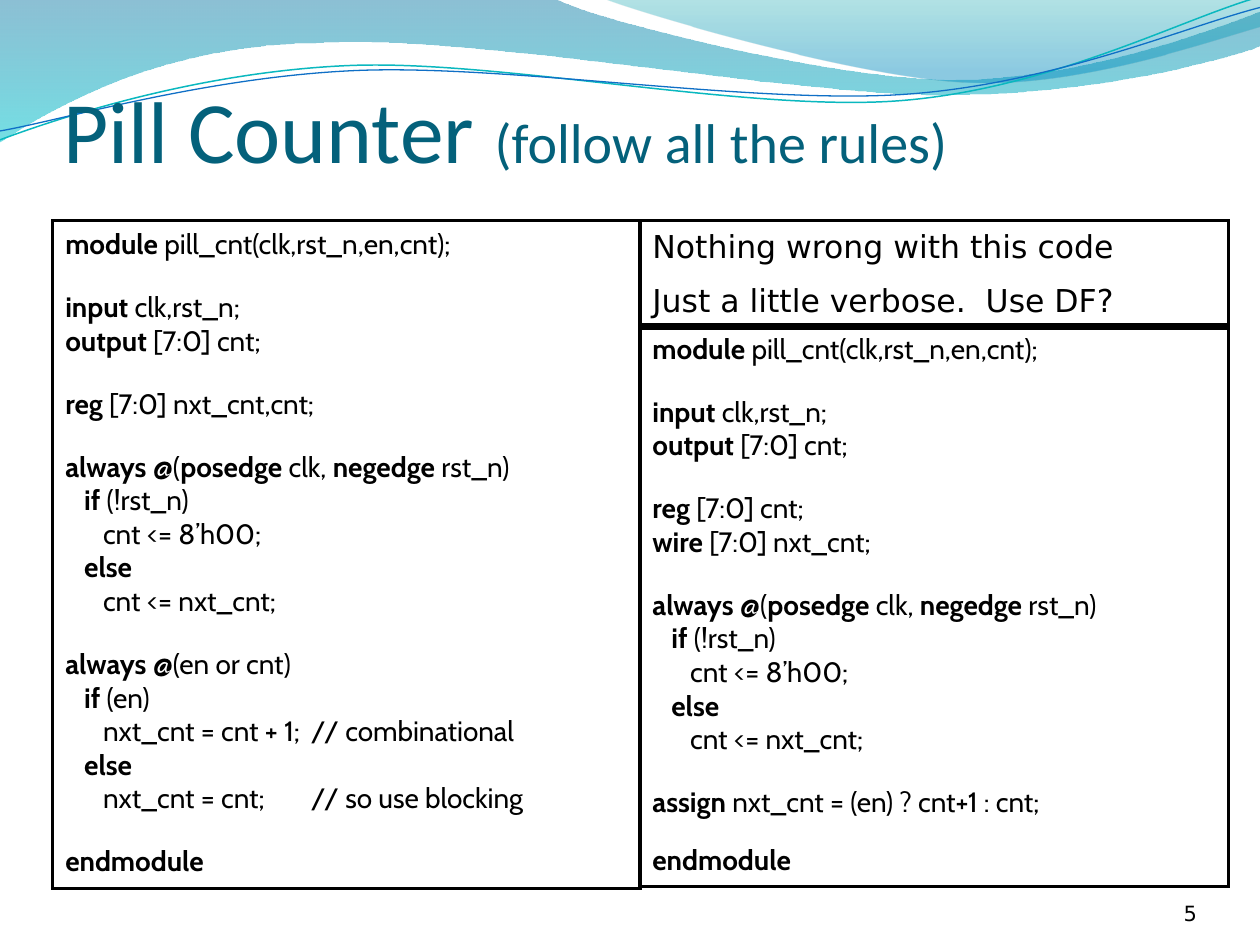
from dataclasses import dataclass
from math import cos, radians, sin

from lxml.etree import SubElement
from pptx import Presentation
from pptx.dml.color import RGBColor
from pptx.enum.shapes import MSO_SHAPE
from pptx.enum.text import MSO_ANCHOR, MSO_AUTO_SIZE, PP_ALIGN
from pptx.oxml.ns import qn
from pptx.util import Inches, Pt


@dataclass(frozen=True)
class Theme:
    """Colours, fonts and type sizes of the deck."""
    title_color: str = "04617B"
    ink: str = "000000"
    teal: str = "0AB8BF"
    blue: str = "0F6FC6"
    title_font: str = "Calibri"
    code_font: str = "Cabin"
    plain_font: str = "DejaVu Sans"
    title_size: float = 50
    subtitle_size: float = 32
    note_size: float = 18
    code_size: float = 16
    number_size: float = 12
    border: float = 1.75
    tilt: float = -2.7
    code_tabs: tuple = (0.15, 0.3, 1.95)


def turn(point, center, degrees):
    """Return the point turned clockwise about the center."""
    dx, dy = point[0] - center[0], point[1] - center[1]
    c, s = cos(radians(degrees)), sin(radians(degrees))
    return center[0] + dx * c - dy * s, center[1] + dx * s + dy * c


class SlideWriter:
    """Holds the theme and the current page, and adds elements to it."""

    def __init__(self, page, theme):
        """Keep the page and its theme."""
        self.page, self.theme = page, theme

    def span(self, para, text, font, size, color, bold=False):
        """Add one formatted run."""
        span = para.add_run()
        span.text = text
        span.font.name, span.font.size, span.font.bold = font, Pt(size), bold
        span.font.color.rgb = RGBColor.from_string(color)

    def outline(self, start, segments, closed):
        """Add a freeform; one point makes a line, three make a cubic curve."""
        points = [(Inches(x), Inches(y)) for segment in segments for x, y in segment]
        builder = self.page.shapes.build_freeform(*map(Inches, start), scale=1.0)
        builder.add_line_segments(points, close=closed)
        shape = builder.convert_to_shape()
        shape.shadow.inherit = False
        lines = iter(list(shape._element.iter(qn("a:lnTo"))))
        for segment in segments:
            group = [next(lines) for _ in segment]
            if len(group) == 3:
                group[0].tag = qn("a:cubicBezTo")
                for line in group[1:]:
                    group[0].append(line[0])
                    line.getparent().remove(line)
        return shape

    def wave(self, start, segments, stops):
        """Add a filled wave; stops are (position, colour, opacity percent)."""
        shape = self.outline(start, segments, True)
        shape.line.fill.background()
        shape.fill.gradient()
        shape.fill.gradient_angle = 270
        for stop, (position, color, opacity) in zip(shape.fill.gradient_stops, stops):
            stop.position = position
            stop.color.rgb = RGBColor.from_string(color)
            for node in shape._element.iter(qn("a:srgbClr")):
                if node.get("val") == color:
                    SubElement(node, qn("a:alpha"), val=str(opacity * 1000))

    def strand(self, start, segments, center, color, width):
        """Add a thin curved line, tilted about its center."""
        tilt = self.theme.tilt
        level = [[turn(point, center, -tilt) for point in segment] for segment in segments]
        shape = self.outline(turn(start, center, -tilt), level, False)
        shape.rotation = tilt
        shape.fill.background()
        shape.line.color.rgb = RGBColor.from_string(color)
        shape.line.width = Pt(width)

    def title(self, text, aside):
        """Fill the title placeholder and bring it in front of the waves."""
        theme, box = self.theme, self.page.shapes.title
        box.left, box.top, box.width, box.height = map(Inches, (0.5, 0.19, 9, 1.25))
        frame = box.text_frame
        frame.auto_size, frame.vertical_anchor = MSO_AUTO_SIZE.NONE, MSO_ANCHOR.BOTTOM
        frame.margin_left = frame.margin_right = frame.margin_bottom = 0
        frame.margin_top = Inches(0.05)
        para = frame.paragraphs[0]
        para.alignment = PP_ALIGN.LEFT
        for words, size in ((text, theme.title_size), (aside, theme.subtitle_size)):
            self.span(para, words, theme.title_font, size, theme.title_color)
        box._element.getparent().append(box._element)

    def page_number(self, text):
        """Add the number at the bottom right."""
        box = self.page.shapes.add_textbox(*map(Inches, (8.67, 6.95, 0.83, 0.4)))
        frame = box.text_frame
        frame.word_wrap, frame.vertical_anchor = True, MSO_ANCHOR.BOTTOM
        frame.margin_left = frame.margin_right = frame.margin_top = frame.margin_bottom = 0
        para = frame.paragraphs[0]
        para.alignment = PP_ALIGN.RIGHT
        self.span(para, text, self.theme.plain_font, self.theme.number_size, self.theme.ink)

    def panel(self, place, lines, font, size, tabs=()):
        """Add a bordered box; lines are (space before, text with *bold* parts)."""
        box = self.page.shapes.add_shape(MSO_SHAPE.RECTANGLE, *map(Inches, place))
        box.shadow.inherit = False
        box.fill.background()
        box.line.color.rgb = RGBColor.from_string(self.theme.ink)
        box.line.width = Pt(self.theme.border)
        SubElement(box._element.spPr.find(qn("a:ln")), qn("a:miter"), lim="800000")
        frame = box.text_frame
        frame.word_wrap, frame.vertical_anchor = True, MSO_ANCHOR.TOP
        frame.auto_size = MSO_AUTO_SIZE.SHAPE_TO_FIT_TEXT
        for index, (gap, text) in enumerate(lines):
            para = frame.add_paragraph() if index else frame.paragraphs[0]
            para.alignment, para.space_before = PP_ALIGN.LEFT, Pt(gap)
            if tabs:
                tab_list = SubElement(para._p.get_or_add_pPr(), qn("a:tabLst"))
                for tab in tabs:
                    SubElement(tab_list, qn("a:tab"), pos=str(Inches(tab)), algn="l")
            for part, words in enumerate(text.split("*")):
                if words:
                    self.span(para, words, font, size, self.theme.ink, part % 2 == 1)

    def code(self, place, lines):
        """Add a panel of program code."""
        self.panel(place, lines, self.theme.code_font, self.theme.code_size,
                   self.theme.code_tabs)


GAP = 16.8
PORTS = [(0, "*module* pill_cnt(clk,rst_n,en,cnt);"),
         (GAP, "*input* clk,rst_n;"), (0, "*output* [7:0] cnt;")]
FLIP_FLOP = [(GAP, "*always* @(*posedge* clk, *negedge* rst_n)"),
             (0, "\t*if* (!rst_n)"), (0, "\t\tcnt <= 8’h00;"),
             (0, "\t*else*"), (0, "\t\tcnt <= nxt_cnt;")]
VERBOSE = PORTS + [(GAP, "*reg* [7:0] nxt_cnt,cnt;")] + FLIP_FLOP + [
    (GAP, "*always* @(en or cnt)"), (0, "\t*if* (en)"),
    (0, "\t\tnxt_cnt = cnt + 1;\t// combinational"), (0, "\t*else*"),
    (0, "\t\tnxt_cnt = cnt;\t// so use blocking"), (GAP, "*endmodule*")]
DATAFLOW = PORTS + [(GAP, "*reg* [7:0] cnt;"), (0, "*wire* [7:0] nxt_cnt;")] + FLIP_FLOP + [
    (GAP, "*assign* nxt_cnt = (en) ? cnt+1 : cnt;"), (14, "*endmodule*")]
REMARKS = [(0, "Nothing wrong with this code"), (9.5, "Just a little verbose.  Use DF?")]


def main():
    """Build the deck and save it."""
    deck, theme = Presentation(), Theme()
    deck.slide_width, deck.slide_height = Inches(10), Inches(7.5)
    writer = SlideWriter(deck.slides.add_slide(deck.slide_layouts[5]), theme)

    writer.wave((0, -0.01), [
        [(4.4, -0.01)], [(4.76, 0.17), (6.64, 0.63), (7.58, 0.63)],
        [(8.53, 0.63), (9.58, 0.26), (10, 0.09)], [(10.01, 0.36)],
        [(9.83, 0.44), (8.7, 0.76), (7.46, 0.75)],
        [(6.22, 0.75), (3.82, 0.28), (2.57, 0.34)],
        [(1.29, 0.35), (0.46, 0.83), (-0.01, 1.13)]],
        [(0, "0074A1", 45), (1, "00C6CF", 55)])
    writer.wave((4.79, -0.01), [
        [(5.09, 0.11), (6.82, 0.62), (7.69, 0.65)],
        [(8.56, 0.69), (9.61, 0.32), (10, 0.21)], [(10, 0)]],
        [(0, "00A1A9", 30), (0.8, "008BBF", 45)])
    writer.strand((0, 1.11), [
        [(0.48, 0.93), (1.58, 0.57), (2.77, 0.52)],
        [(3.95, 0.47), (5.93, 0.89), (7.13, 0.8)],
        [(8.33, 0.71), (9.38, 0.15), (9.98, -0.02)]], (4.99, 0.58), theme.teal, 0.85)
    writer.strand((0, 1.04), [
        [(0.47, 0.96), (1.64, 0.61), (2.83, 0.56)],
        [(4.03, 0.51), (5.97, 0.83), (7.17, 0.75)],
        [(8.36, 0.67), (9.41, 0.21), (10, 0.06)]], (5, 0.59), theme.blue, 0.75)

    writer.title("Pill Counter ", "(follow all the rules)")
    writer.page_number("5")
    writer.code((0.42, 1.75, 4.66, 5.3), VERBOSE)
    writer.panel((5.08, 1.75, 4.67, 0.86), REMARKS, theme.plain_font, theme.note_size)
    writer.code((5.08, 2.58, 4.67, 4.46), DATAFLOW)
    deck.save("out.pptx")


main()
